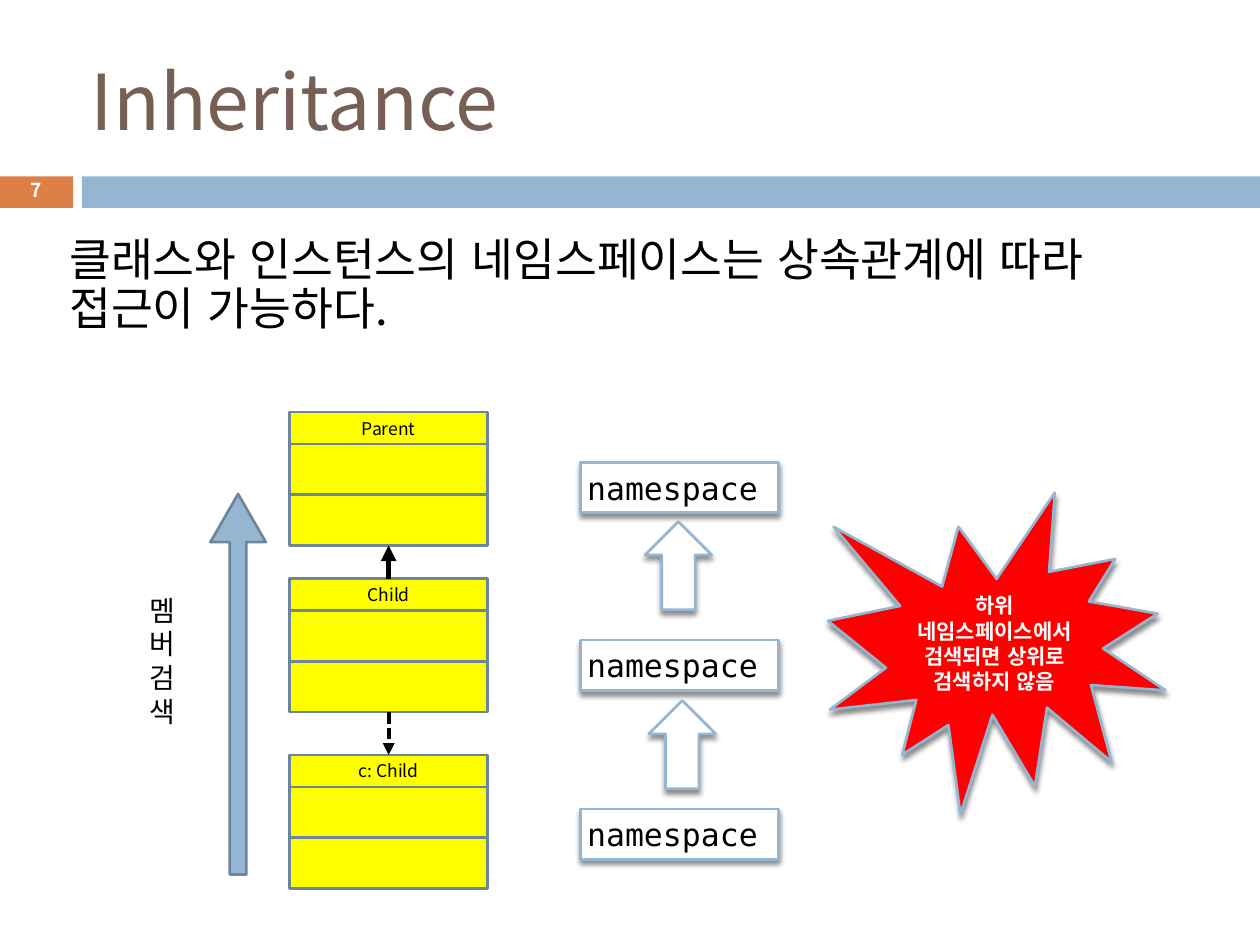
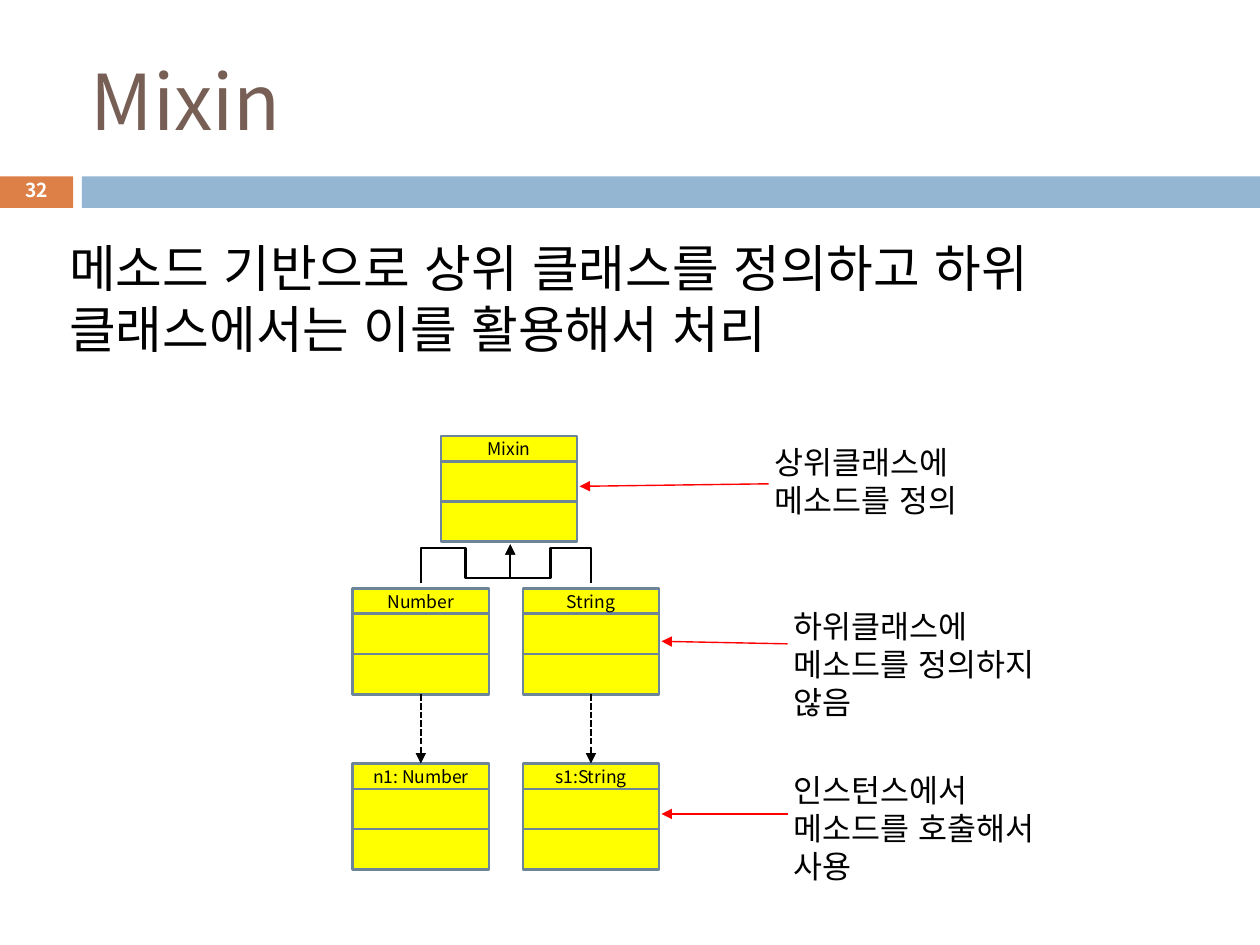
from pptx import Presentation
from pptx import util as u
from pptx.dml.color import RGBColor
from pptx.enum import dml, lang, shapes, text
from pptx.oxml import parse_xml
from pptx.oxml.ns import nsdecls, qn
from pptx.oxml.xmlchemy import OxmlElement

WIDTH, HEIGHT = u.Inches(10), u.Inches(7.5)
CELL = WIDTH / 100
SANS, MONO = "Noto Sans CJK KR", "DejaVu Sans Mono"
BLACK = RGBColor(0x00, 0x00, 0x00)
WHITE = RGBColor(0xFF, 0xFF, 0xFF)
BROWN = RGBColor(0x77, 0x5F, 0x55)
ORANGE = RGBColor(0xDD, 0x80, 0x47)
BLUE = RGBColor(0x94, 0xB6, 0xD2)
SLATE = RGBColor(0x6C, 0x85, 0x99)
YELLOW = RGBColor(0xFF, 0xFF, 0x00)
RED = RGBColor(0xFF, 0x00, 0x00)
LEFT, CENTER = text.PP_ALIGN.LEFT, text.PP_ALIGN.CENTER
TOP, MIDDLE = text.MSO_ANCHOR.TOP, text.MSO_ANCHOR.MIDDLE
KIND = shapes.MSO_SHAPE
DASH = dml.MSO_LINE.SQUARE_DOT


def grid(*spans):
    """Turn columns and rows of the 100 by 75 grid into lengths."""
    return [u.Emu(round(span * CELL)) for span in spans]


def write(shape, words, size=18, color=BLACK, font=SANS, bold=False,
          align=LEFT, anchor=TOP, spacing=None, pad=0.5):
    """Fill a shape with formatted text, one paragraph per line."""
    frame = shape.text_frame
    frame.text = words
    frame.word_wrap = True
    frame.auto_size = text.MSO_AUTO_SIZE.NONE
    frame.vertical_anchor = anchor
    frame.margin_left, frame.margin_right = grid(0.5, 0.5)
    frame.margin_top, frame.margin_bottom = grid(pad, pad)
    for para in frame.paragraphs:
        para.alignment = align
        para.line_spacing = spacing
        for run in para.runs:
            run.font.size = u.Pt(size)
            run.font.bold = bold
            run.font.color.rgb = color
            run.font.name = font
            run.font.language_id = lang.MSO_LANGUAGE_ID.KOREAN
            east = OxmlElement("a:ea")
            east.set("typeface", font)
            run._r.get_or_add_rPr().append(east)


def label(slide, box, words, **style):
    """Add a text box."""
    write(slide.shapes.add_textbox(*grid(*box)), words, **style)


def shape(slide, kind, box, fill, line=None, shade=False):
    """Add a preset shape, outlined and shaded on request."""
    item = slide.shapes.add_shape(kind, *grid(*box))
    item.shadow.inherit = False
    item.fill.solid()
    item.fill.fore_color.rgb = fill
    if line is None:
        item.line.fill.background()
    else:
        item.line.color.rgb = line
        item.line.width = u.Pt(1.5)
    if shade:
        item._element.spPr.find(qn("a:effectLst")).append(parse_xml(
            f'<a:outerShdw {nsdecls("a")} blurRad="38100" dist="30480" '
            'dir="5400000" rotWithShape="0"><a:srgbClr val="000000">'
            '<a:alpha val="45000"/></a:srgbClr></a:outerShdw>'))
    return item


def point(item, color=BLACK, width=1.25, dash=None):
    """Format a line and put an arrowhead at its end."""
    item.line.color.rgb = color
    item.line.width = u.Pt(width)
    if dash:
        item.line.dash_style = dash
    props = item._element.spPr
    tip = OxmlElement("a:tailEnd")
    tip.set("type", "triangle")
    props.find(qn("a:ln")).append(tip)
    if props.find(qn("a:effectLst")) is None:
        props.append(OxmlElement("a:effectLst"))


def arrow(slide, ends=(0, 0, 0, 0), **style):
    """Add a straight arrow."""
    item = slide.shapes.add_connector(shapes.MSO_CONNECTOR.STRAIGHT, *grid(*ends))
    point(item, **style)
    return item


def join(slide, start, end, up=False, **style):
    """Join two class boxes with an upward or downward arrow."""
    item = arrow(slide, **style)
    item.begin_connect(start[0 if up else -1], 0 if up else 2)
    item.end_connect(end[-1 if up else 0], 2 if up else 0)


def bend(slide, spots):
    """Draw an open path with an arrowhead."""
    first, *rest = [grid(*spot) for spot in spots]
    path = slide.shapes.build_freeform(*first)
    path.add_line_segments(rest, close=False)
    item = path.convert_to_shape()
    item.shadow.inherit = False
    item.fill.background()
    point(item)


def entity(slide, box, name):
    """Draw a class box with a name row and two empty rows."""
    left, top, wide, high = box
    rows = []
    for share in (0.24, 0.38, 0.38):
        row = (left, top, wide, high * share)
        rows.append(shape(slide, KIND.RECTANGLE, row, YELLOW, SLATE))
        top += high * share
    write(rows[0], name, size=10, align=CENTER, anchor=MIDDLE, pad=0)
    return rows


def page(deck, title, number):
    """Start a slide with its title, band and number."""
    slide = deck.slides.add_slide(deck.slide_layouts[5])
    head = slide.shapes.title
    head.left, head.top, head.width, head.height = grid(6.7, 2.5, 89.2, 10.8)
    write(head, title, size=44, color=BROWN, anchor=MIDDLE)
    tab = shape(slide, KIND.RECTANGLE, (0, 14, 5.8, 2.5), ORANGE)
    write(tab, number, size=11, color=WHITE, bold=True, align=CENTER,
          anchor=MIDDLE, spacing=0.8, pad=0)
    shape(slide, KIND.RECTANGLE, (6.5, 14, 93.5, 2.5), BLUE)
    return slide


def chain(slide, box):
    """Stack the parent, the child and its instance."""
    left, top, wide, high = box
    parent, child, item = [
        entity(slide, (left, top + drop * high, wide, high * 0.28), name)
        for drop, name in ((0, "Parent"), (0.35, "Child"), (0.72, "c: Child"))]
    join(slide, child, parent, up=True, width=3)
    join(slide, child, item, width=2.25, dash=DASH)


def search(slide, box):
    """Draw the tall search arrow with its upright caption."""
    left, top, wide, high = box
    label(slide, (left, top + high * 0.245, 5.5, 11.8), "멤\n버\n검\n색", size=16)
    item = shape(slide, KIND.UP_ARROW, (left + wide - 4.4, top, 4.4, high), BLUE, SLATE)
    item.adjustments[0], item.adjustments[1] = 0.3, 0.87


def spaces(slide, box):
    """Stack the namespaces with block arrows between them."""
    left, top, wide, high = box
    for drop in (0, 14.1, 27.5):
        item = shape(slide, KIND.RECTANGLE, (left, top + drop, wide, 4), WHITE, BLUE, True)
        write(item, "namespace", font=MONO, anchor=MIDDLE)
    for side, drop in ((5.1, 4.7), (5.4, 18.9)):
        shape(slide, KIND.UP_ARROW, (left + side, top + drop, 5.3, 7), WHITE, BLUE, True)


def burst(slide, box):
    """Draw the red warning star."""
    item = shape(slide, KIND.EXPLOSION1, box, RED, BLUE, True)
    write(item, "하위 네임스페이스에서 검색되면 상위로 검색하지 않음", size=12,
          color=WHITE, bold=True, align=CENTER, anchor=MIDDLE)


def family(slide, box):
    """Draw the mixin above two classes and their instances."""
    left, top, wide, high = box
    size = (10.8, 8.4)
    mid, right = left + 7, left + wide - size[0]
    entity(slide, (mid, top, *size), "Mixin")
    hub = mid + size[0] / 2 + 0.1
    for side, name, item in ((left, "Number", "n1: Number"), (right, "String", "s1:String")):
        kind = entity(slide, (side, top + 12.1, *size), name)
        join(slide, kind, entity(slide, (side, top + high - size[1], *size), item), dash=DASH)
        start = side + size[0] / 2
        half = (start + hub) / 2
        bend(slide, [(start, top + 11.7), (start, top + 8.9), (half, top + 8.9),
                     (half, top + 11.3), (hub, top + 11.3), (hub, top + 8.6)])


def notes(slide, box):
    """List the remarks with red arrows to the boxes."""
    left, top, wide, high = box
    rows = (("상위클래스에 메소드를 정의", 0, 3.7, 46, 3.9),
            ("하위클래스에 메소드를 정의하지 않음", 1.5, 3.4, 52.5, 3.2),
            ("인스턴스에서 메소드를 호출해서 사용", 1.5, 3.9, 52.5, 3.9))
    for place, (words, shift, drop, tip, fall) in enumerate(rows):
        edge, line = left + shift, top + place * high / 2.55
        label(slide, (edge, line, wide, 7.1), words)
        arrow(slide, (edge, line + drop, tip, line + fall), color=RED, width=0.79)


def main():
    """Build and save the deck."""
    deck = Presentation()
    deck.slide_width, deck.slide_height = WIDTH, HEIGHT

    slide = page(deck, "Inheritance", "7")
    label(slide, (5, 18.3, 90, 9.6), "클래스와 인스턴스의 네임스페이스는 상속관계에 따라 "
          "접근이 가능하다.", size=26, spacing=0.9)
    chain(slide, (23, 32.7, 15.7, 37.8))
    search(slide, (11.4, 39.2, 9.7, 30.2))
    spaces(slide, (46.1, 36.7, 15.7, 31.5))
    burst(slide, (65.7, 39.1, 26.8, 25.5))

    slide = page(deck, "Mixin", "32")
    label(slide, (5, 18.3, 90, 12.9), "메소드 기반으로 상위 클래스를 정의하고 하위 "
          "클래스에서는 이를 활용해서 처리", size=29)
    family(slide, (28, 34.6, 24.3, 34.4))
    notes(slide, (61, 34.7, 24.4, 33.15))
    deck.save("out.pptx")


if __name__ == "__main__":
    main()
